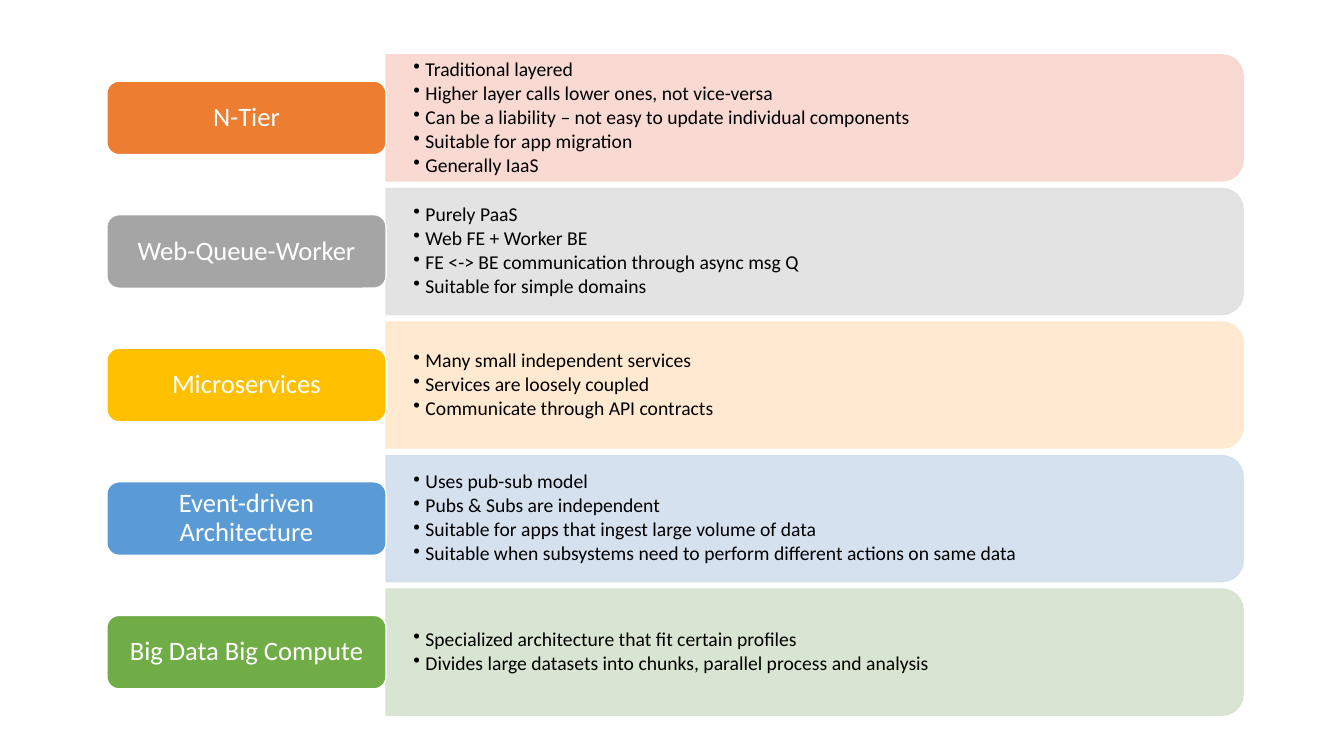
import pptx
import pptx.util
import pptx.dml.color
import pptx.enum.shapes
import pptx.enum.text
import pptx.oxml.ns
import lxml.etree

Inches = pptx.util.Inches
Pt = pptx.util.Pt
Shapes = pptx.enum.shapes.MSO_SHAPE
Align = pptx.enum.text.PP_ALIGN

STYLES = [
    ("N-Tier", "orange", [
        "Traditional layered",
        "Higher layer calls lower ones, not vice-versa",
        "Can be a liability – not easy to update individual components",
        "Suitable for app migration",
        "Generally IaaS",
    ]),
    ("Web-Queue-Worker", "gray", [
        "Purely PaaS",
        "Web FE + Worker BE",
        "FE <-> BE communication through async msg Q",
        "Suitable for simple domains",
    ]),
    ("Microservices", "gold", [
        "Many small independent services",
        "Services are loosely coupled",
        "Communicate through API contracts",
    ]),
    ("Event-driven Architecture", "blue", [
        "Uses pub-sub model",
        "Pubs & Subs are independent",
        "Suitable for apps that ingest large volume of data",
        "Suitable when subsystems need to perform different actions on same data",
    ]),
    ("Big Data Big Compute", "green", [
        "Specialized architecture that fit certain profiles",
        "Divides large datasets into chunks, parallel process and analysis",
    ]),
]

COLORS = {
    "orange": "ED7D31", "orange light": "F8D7CE",
    "gray": "A5A5A5", "gray light": "E1E1E1",
    "gold": "FFC000", "gold light": "FFE8CC",
    "blue": "5B9BD5", "blue light": "D2DEEF",
    "green": "70AD47", "green light": "D5E3CF",
    "white": "FFFFFF", "black": "000000",
}

FIRST_CENTER, LAST_CENTER = 1.17, 6.47
LABEL_LEFT, LABEL_WIDTH, LABEL_HEIGHT = 1.06, 2.77, 0.73
PANEL_LEFT, PANEL_WIDTH, PANEL_HEIGHT = 3.83, 8.5, 1.25
TEXT_WIDTH, TEXT_HEIGHT = 8.44, 1.13

LABEL_FORMAT = {"size": 19, "color": "white", "align": Align.CENTER,
                "after": 0, "insets": (0.12, 0.08)}
BULLET_FORMAT = {"size": 14, "color": "black", "align": Align.LEFT,
                 "after": 2, "insets": (0.27, 0.14), "bullet": "•"}


def rgb(name):
    return pptx.dml.color.RGBColor.from_string(COLORS[name])


def paint(shape, fill, line):
    shape.shadow.inherit = False
    shape.fill.solid()
    shape.fill.fore_color.rgb = rgb(fill)
    shape.line.color.rgb = rgb(line)
    shape.line.width = Pt(1)


def set_opacity(shape, percent):
    for color in shape.element.spPr.iter(pptx.oxml.ns.qn("a:srgbClr")):
        alpha = lxml.etree.SubElement(color, pptx.oxml.ns.qn("a:alpha"))
        alpha.set("val", str(percent * 1000))


def add_bullet(para, character):
    properties = para._p.get_or_add_pPr()
    properties.set("marL", str(Inches(0.12)))
    properties.set("indent", str(Inches(-0.12)))
    bullet = lxml.etree.SubElement(properties, pptx.oxml.ns.qn("a:buChar"))
    bullet.set("char", character)


def write(box, lines, style):
    frame = box.text_frame
    side, edge = (Inches(inset) for inset in style["insets"])
    settings = {"word_wrap": True, "margin_left": side, "margin_right": side,
                "margin_top": edge, "margin_bottom": edge,
                "vertical_anchor": pptx.enum.text.MSO_ANCHOR.MIDDLE}
    for name, value in settings.items():
        setattr(frame, name, value)
    for number, line in enumerate(lines):
        para = frame.paragraphs[0] if number == 0 else frame.add_paragraph()
        spacing = {"alignment": style["align"], "line_spacing": 0.9,
                   "space_after": Pt(style["after"])}
        for name, value in spacing.items():
            setattr(para, name, value)
        if "bullet" in style:
            add_bullet(para, style["bullet"])
        span = para.add_run()
        span.text = line
        span.font.name = "Calibri"
        span.font.size = Pt(style["size"])
        span.font.color.rgb = rgb(style["color"])


def add_row(page, center, label, color, points):
    panel_center = PANEL_LEFT + PANEL_WIDTH / 2
    panel = page.shapes.add_shape(
        Shapes.ROUND_2_SAME_RECTANGLE,
        Inches(panel_center - PANEL_HEIGHT / 2), Inches(center - PANEL_WIDTH / 2),
        Inches(PANEL_HEIGHT), Inches(PANEL_WIDTH))
    panel.rotation = 90
    paint(panel, color + " light", color + " light")
    set_opacity(panel, 90)

    details = page.shapes.add_textbox(
        Inches(PANEL_LEFT), Inches(center - TEXT_HEIGHT / 2),
        Inches(TEXT_WIDTH), Inches(TEXT_HEIGHT))
    write(details, points, BULLET_FORMAT)

    box = page.shapes.add_shape(
        Shapes.ROUNDED_RECTANGLE,
        Inches(LABEL_LEFT), Inches(center - LABEL_HEIGHT / 2),
        Inches(LABEL_WIDTH), Inches(LABEL_HEIGHT))
    paint(box, color, "white")
    write(box, [label], LABEL_FORMAT)


def main():
    deck = pptx.Presentation()
    deck.slide_width = Inches(13.33)
    deck.slide_height = Inches(7.5)
    page = deck.slides.add_slide(deck.slide_layouts[6])
    pitch = (LAST_CENTER - FIRST_CENTER) / (len(STYLES) - 1)
    for row, (label, color, points) in enumerate(STYLES):
        add_row(page, FIRST_CENTER + row * pitch, label, color, points)
    deck.save("out.pptx")


if __name__ == "__main__":
    main()
